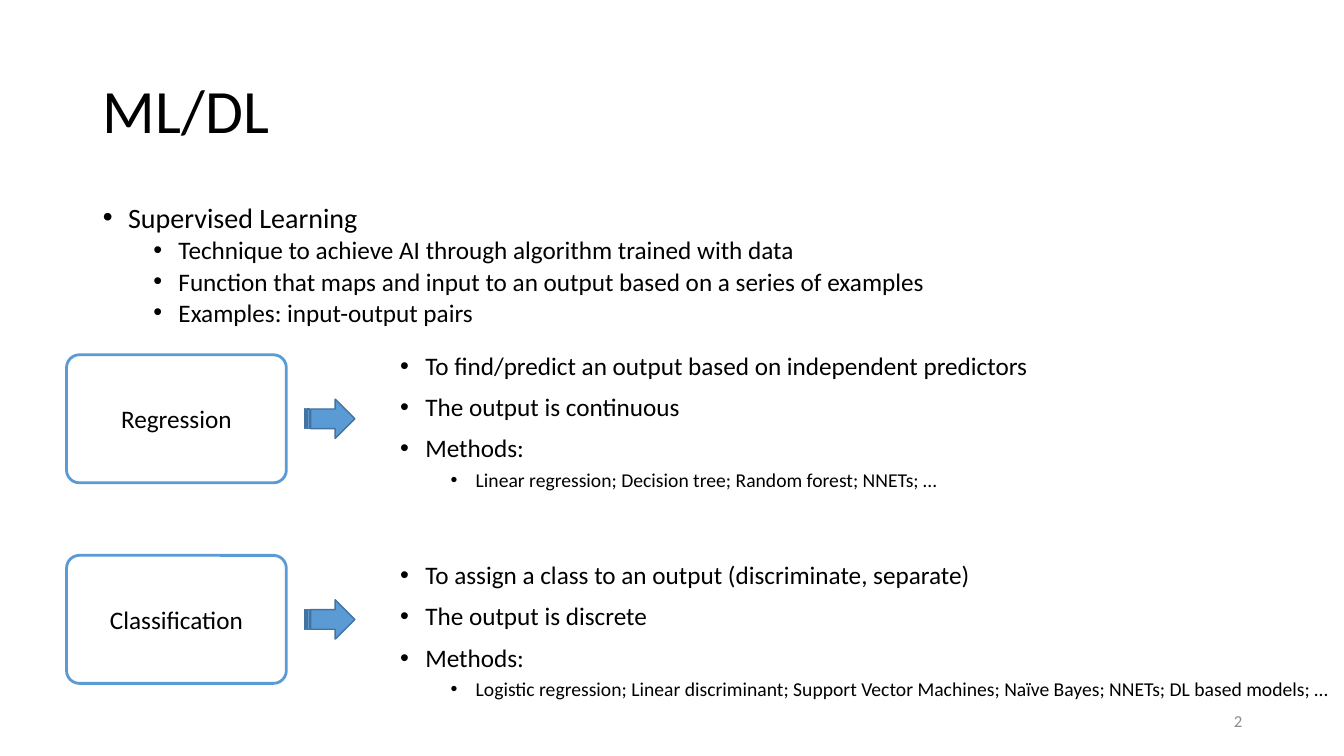
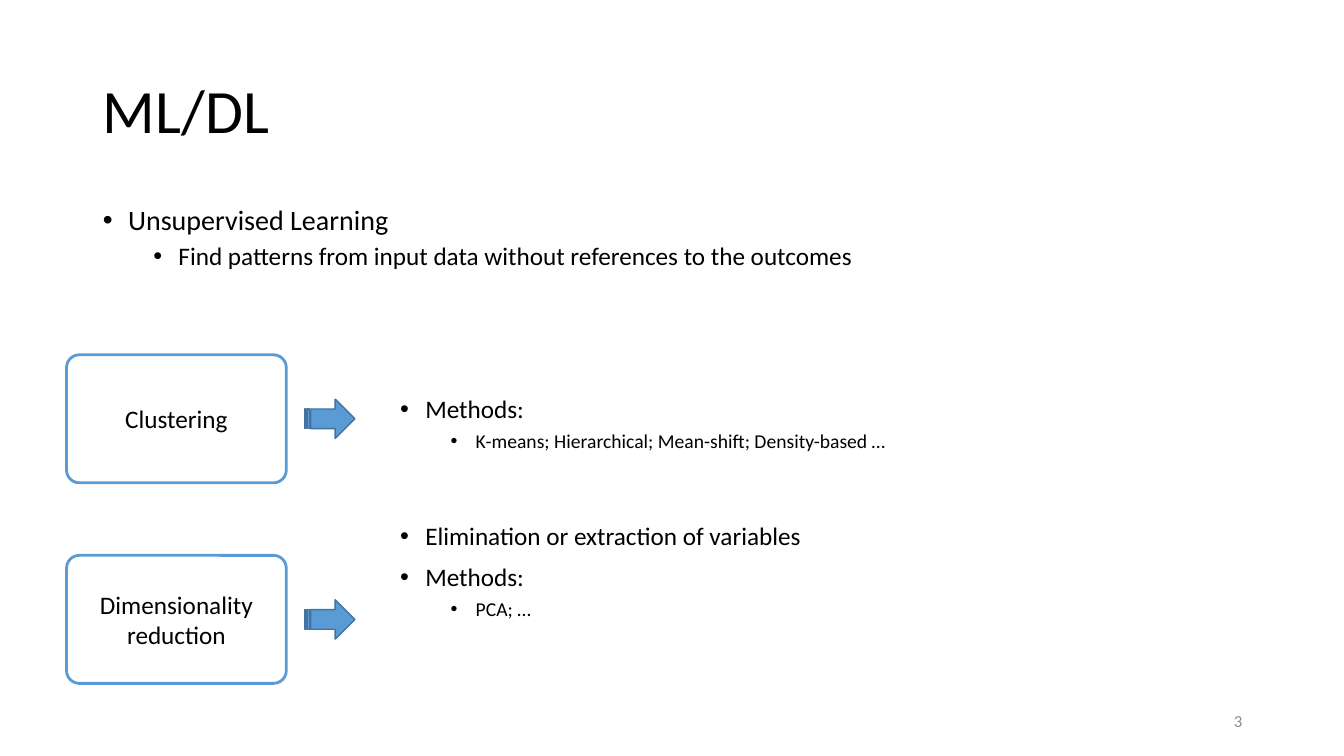
"""Build two slides on supervised and unsupervised learning."""
import pptx
import pptx.dml.color
import pptx.enum.shapes
import pptx.enum.text
import pptx.oxml.ns
import pptx.util
from lxml import etree

Inches, Pt = pptx.util.Inches, pptx.util.Pt
SHAPE = pptx.enum.shapes.MSO_SHAPE
ALIGN = pptx.enum.text.PP_ALIGN
ANCHOR = pptx.enum.text.MSO_ANCHOR
COLORS = {"text": "000000", "paper": "FFFFFF", "accent": "5B9BD5",
          "arrow_edge": "43739E", "number": "8C8C8C"}
FONT = "Calibri"

TITLE = "ML/DL"
SLIDES = [
    {"number": "2", "intro_spacing": 0.8, "detail_inset": 0.05,
     "intro": [
         (0, "Supervised Learning"),
         (1, "Technique to achieve AI through algorithm trained with data"),
         (1, "Function that maps and input to an output based on a series of examples"),
         (1, "Examples: input-output pairs")],
     "tasks": [
         ("Regression", [
             (0, "To find/predict an output based on independent predictors"),
             (0, "The output is continuous"),
             (0, "Methods:"),
             (1, "Linear regression; Decision tree; Random forest; NNETs; …")]),
         ("Classification", [
             (0, "To assign a class to an output (discriminate, separate)"),
             (0, "The output is discrete"),
             (0, "Methods:"),
             (1, "Logistic regression; Linear discriminant; Support Vector Machines; "
                 "Naïve Bayes; NNETs; DL based models; …")])]},
    {"number": "3", "intro_spacing": 0.9, "detail_inset": 0.48,
     "intro": [
         (0, "Unsupervised Learning"),
         (1, "Find patterns from input data without references to the outcomes")],
     "tasks": [
         ("Clustering", [
             (0, "Methods:"),
             (1, "K-means; Hierarchical; Mean-shift; Density-based …")]),
         ("Dimensionality reduction", [
             (0, "Elimination or extraction of variables"),
             (0, "Methods:"),
             (1, "PCA; …")])]},
]

WIDTH, HEIGHT = 13.33, 7.5
MARGIN, CONTENT_WIDTH = 0.92, 11.5
TITLE_AREA = (MARGIN, 0.4, CONTENT_WIDTH, 1.45)
INTRO_AREA = (MARGIN, 2, CONTENT_WIDTH, 1.37)
DETAIL_LEFT, DETAIL_TOP = 3.87, 3.46
DETAIL_AREA = (DETAIL_LEFT, DETAIL_TOP, WIDTH - DETAIL_LEFT, HEIGHT - DETAIL_TOP)
NUMBER_AREA = (MARGIN + CONTENT_WIDTH - 3, 6.95, 3, 0.4)
TASK_LEFT, TASK_TOP, TASK_WIDTH, TASK_HEIGHT = 0.66, 3.52, 2.18, 1.27
TASK_PITCH = 1.99
ARROW_LEFT, ARROW_WIDTH, ARROW_HEIGHT = 3.02, 0.5, 0.39
SPACE_BEFORE = (10, 5)
TASK_GAP = 51


def inches(area):
    return [Inches(value) for value in area]


def rgb(name):
    return pptx.dml.color.RGBColor.from_string(COLORS[name])


def write(paragraph, text, size, color="text", align=ALIGN.LEFT):
    paragraph.alignment = align
    run = paragraph.add_run()
    run.text = text
    run.font.name, run.font.size = FONT, Pt(size)
    run.font.color.rgb = rgb(color)


def write_bullets(frame, items, sizes, spacing):
    frame.word_wrap = True
    frame.auto_size = pptx.enum.text.MSO_AUTO_SIZE.NONE
    for index, (level, text, before) in enumerate(items):
        paragraph = frame.paragraphs[0] if index == 0 else frame.add_paragraph()
        paragraph.level = level
        paragraph.line_spacing = spacing
        paragraph.space_before = Pt(before)
        paragraph.space_after = Pt(0)
        write(paragraph, text, sizes[level])
        properties = paragraph._p.get_or_add_pPr()
        properties.set("marL", str(Inches(0.25 + 0.5 * level)))
        properties.set("indent", str(Inches(-0.25)))
        bullet_font = etree.SubElement(properties, pptx.oxml.ns.qn("a:buFont"))
        bullet_font.set("typeface", "Arial")
        etree.SubElement(properties, pptx.oxml.ns.qn("a:buChar")).set("char", "•")


def spaced(items, first_gap=SPACE_BEFORE[0]):
    return [(level, text, first_gap if index == 0 else SPACE_BEFORE[level])
            for index, (level, text) in enumerate(items)]


def add_figure(slide, kind, area, fill, edge, edge_width):
    figure = slide.shapes.add_shape(kind, *inches(area))
    figure.shadow.inherit = False
    figure.fill.solid()
    figure.fill.fore_color.rgb = rgb(fill)
    figure.line.color.rgb = rgb(edge)
    figure.line.width = Pt(edge_width)
    return figure


def add_task(slide, row, label):
    top = TASK_TOP + row * TASK_PITCH
    task = add_figure(slide, SHAPE.ROUNDED_RECTANGLE,
                      (TASK_LEFT, top, TASK_WIDTH, TASK_HEIGHT), "paper", "accent", 2)
    task.adjustments[0] = 0.1
    task.text_frame.word_wrap = True
    task.text_frame.vertical_anchor = ANCHOR.MIDDLE
    write(task.text_frame.paragraphs[0], label, 18, align=ALIGN.CENTER)
    arrow_top = top + (TASK_HEIGHT - ARROW_HEIGHT) / 2
    add_figure(slide, SHAPE.STRIPED_RIGHT_ARROW,
               (ARROW_LEFT, arrow_top, ARROW_WIDTH, ARROW_HEIGHT),
               "accent", "arrow_edge", 1)


def add_slide(deck, layout, content):
    slide = deck.slides.add_slide(layout)
    heading = slide.shapes.title.text_frame
    heading.vertical_anchor = ANCHOR.MIDDLE
    heading.paragraphs[0].line_spacing = 0.9
    write(heading.paragraphs[0], TITLE, 44)
    write_bullets(slide.placeholders[1].text_frame, spaced(content["intro"]),
                  (20, 18), content["intro_spacing"])

    details = []
    for row, (label, items) in enumerate(content["tasks"]):
        add_task(slide, row, label)
        details += spaced(items, TASK_GAP if row else SPACE_BEFORE[0])
    detail = slide.shapes.add_textbox(*inches(DETAIL_AREA)).text_frame
    detail.margin_top = Inches(content["detail_inset"])
    write_bullets(detail, details, (18, 14), 0.9)

    number = slide.shapes.add_textbox(*inches(NUMBER_AREA)).text_frame
    number.word_wrap = True
    number.vertical_anchor = ANCHOR.MIDDLE
    write(number.paragraphs[0], content["number"], 12, "number", ALIGN.RIGHT)


def main():
    deck = pptx.Presentation()
    deck.slide_width, deck.slide_height = Inches(WIDTH), Inches(HEIGHT)
    layout = deck.slide_layouts[1]
    for holder, area in zip(layout.placeholders, (TITLE_AREA, INTRO_AREA)):
        holder.left, holder.top, holder.width, holder.height = inches(area)
    for content in SLIDES:
        add_slide(deck, layout, content)
    deck.save("out.pptx")


if __name__ == "__main__":
    main()
